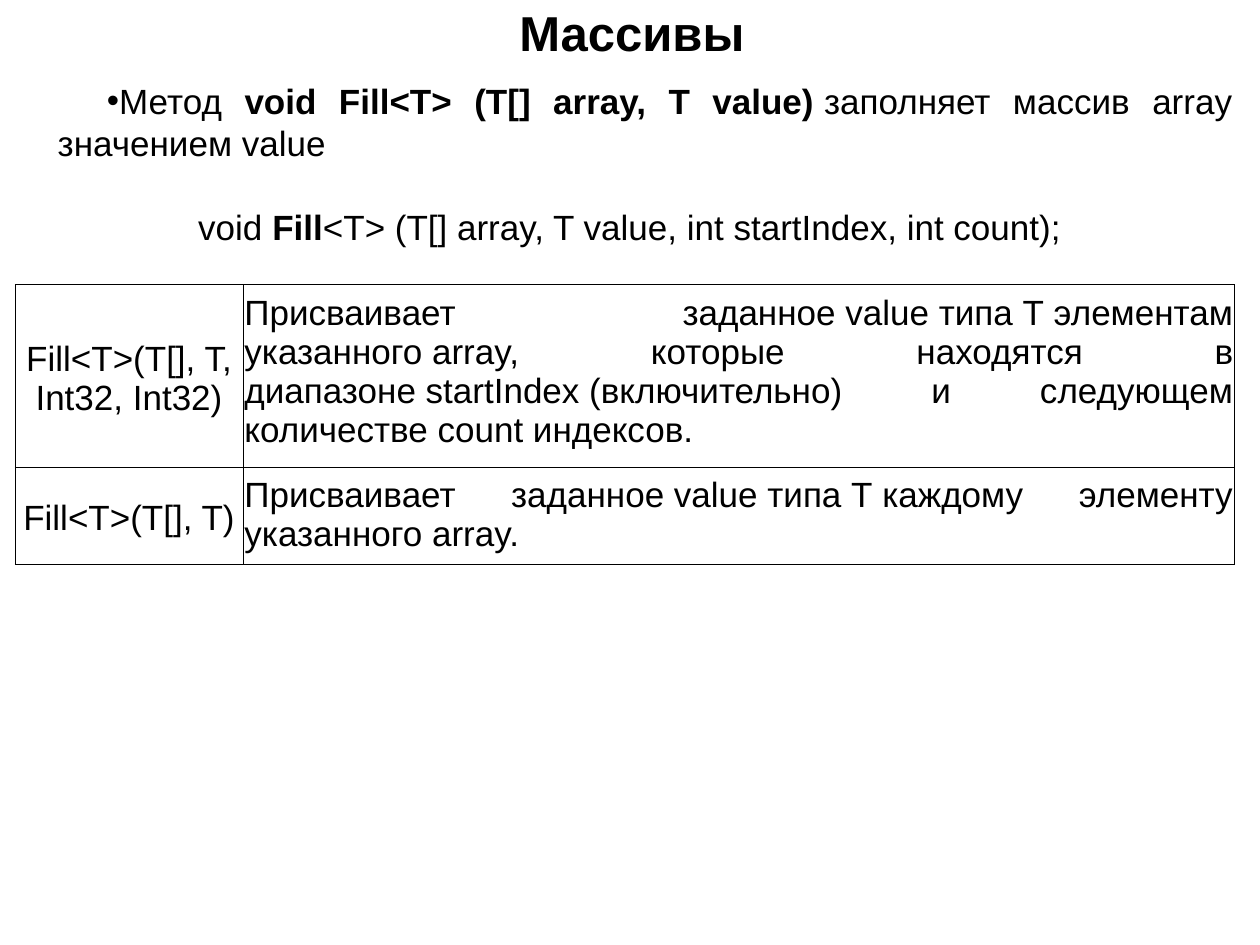
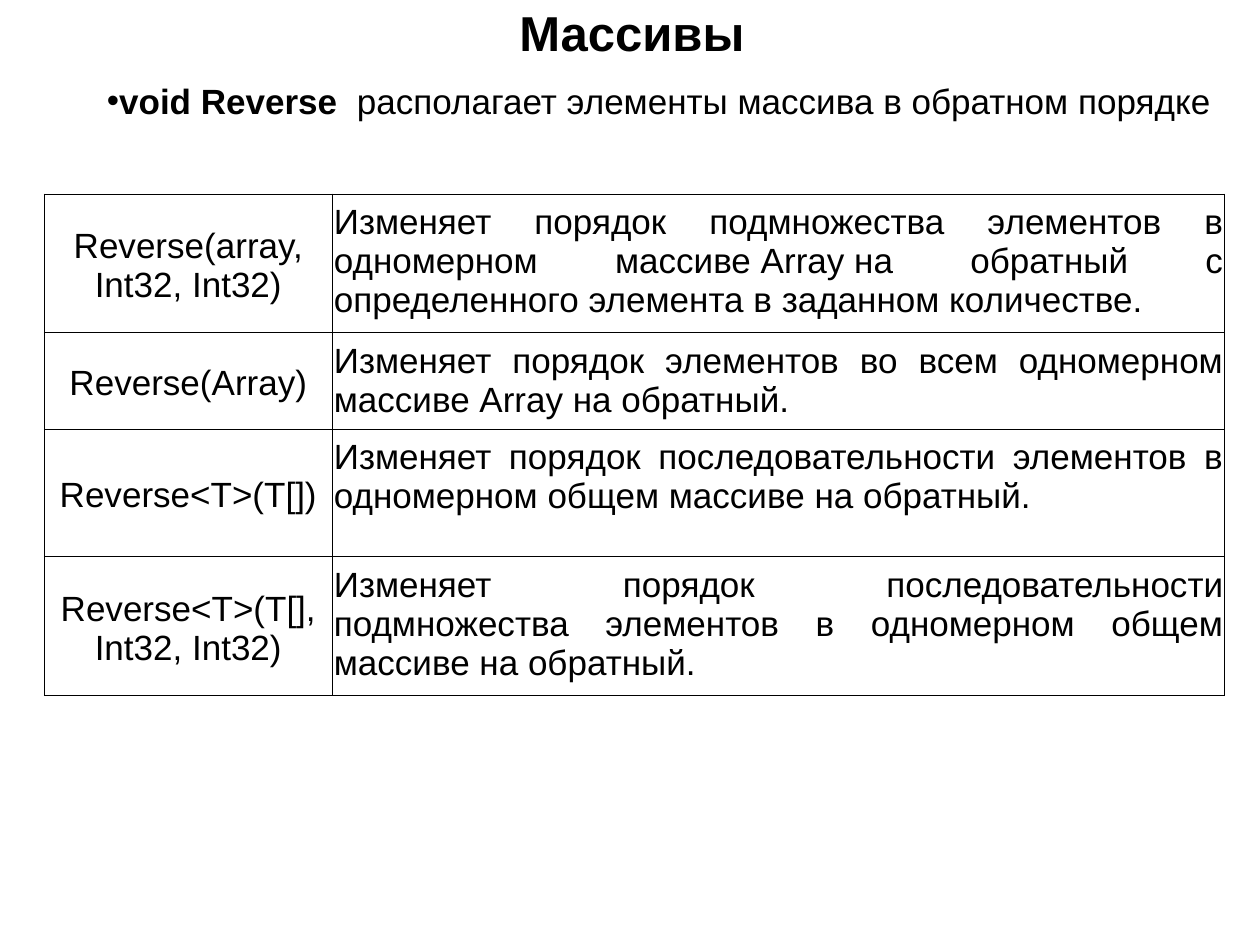
from dataclasses import dataclass

import lxml.etree
import pptx
import pptx.dml.color
import pptx.enum.text
import pptx.oxml.ns
import pptx.util

Inches = pptx.util.Inches
Pt = pptx.util.Pt
ALIGN = pptx.enum.text.PP_ALIGN
ANCHOR = pptx.enum.text.MSO_ANCHOR

# Shared style
FONT = "Arial"
INK = "000000"
PAPER = "FFFFFF"
TITLE_SIZE = 28
BODY_SIZE = 20
BORDER_WIDTH = 0.45
NO_BREAK_SPACE = chr(160)


@dataclass
class Span:
    text: str
    bold: bool = False


@dataclass
class Paragraph:
    spans: list[Span]
    align: ALIGN = ALIGN.JUSTIFY
    bullet: bool = False
    space_before: float = 0


@dataclass
class MethodTable:
    left: float
    top: float
    columns: list[float]
    row_heights: list[float]
    rows: list[tuple[str, str]]


@dataclass
class ArraySlide:
    paragraphs: list[Paragraph]
    table: MethodTable


def color(value: str) -> pptx.dml.color.RGBColor:
    return pptx.dml.color.RGBColor.from_string(value)


def tied(text: str) -> str:
    """Turn each tilde into a no-break space."""
    return text.replace("~", NO_BREAK_SPACE)


def format_runs(p, size: float, bold: bool = False) -> None:
    for r in p.runs:
        r.font.name = FONT
        r.font.size = Pt(size)
        r.font.bold = bold
        r.font.color.rgb = color(INK)


def add_text_frame(slide, left: float, top: float, width: float, height: float):
    sp = slide.shapes.add_textbox(Inches(left), Inches(top), Inches(width), Inches(height))
    sp.text_frame.word_wrap = True
    return sp.text_frame


def add_title(slide, text: str) -> None:
    tf = add_text_frame(slide, 0.02, 0.01, 9.99, 0.57)
    tf.text = text
    p = tf.paragraphs[0]
    p.alignment = ALIGN.CENTER
    p.line_spacing = 0.93
    format_runs(p, TITLE_SIZE, bold=True)


def add_bullet(p) -> None:
    ppr = p._p.get_or_add_pPr()
    ppr.set("marL", str(Inches(0.24)))
    ppr.set("indent", str(Inches(0.39)))
    qn = pptx.oxml.ns.qn
    bu_color = lxml.etree.SubElement(ppr, qn("a:buClr"))
    lxml.etree.SubElement(bu_color, qn("a:srgbClr"), val=INK)
    lxml.etree.SubElement(ppr, qn("a:buFont"), typeface=FONT)
    lxml.etree.SubElement(ppr, qn("a:buChar"), char="•")


def add_body(slide, paragraphs: list[Paragraph]) -> None:
    tf = add_text_frame(slide, 0.12, 0.58, 9.76, 6.61)
    for i, paragraph in enumerate(paragraphs):
        p = tf.add_paragraph() if i else tf.paragraphs[0]
        p.alignment = paragraph.align
        if paragraph.space_before:
            p.space_before = Pt(paragraph.space_before)
        if paragraph.bullet:
            add_bullet(p)
        for span in paragraph.spans:
            r = p.add_run()
            r.text = tied(span.text)
        format_runs(p, BODY_SIZE)
        for r, span in zip(p.runs, paragraph.spans):
            r.font.bold = span.bold


def add_borders(cell) -> None:
    qn = pptx.oxml.ns.qn
    tcpr = cell._tc.get_or_add_tcPr()
    for i, side in enumerate(("a:lnL", "a:lnR", "a:lnT", "a:lnB")):
        ln = lxml.etree.Element(qn(side), w=str(Pt(BORDER_WIDTH)))
        fill = lxml.etree.SubElement(ln, qn("a:solidFill"))
        lxml.etree.SubElement(fill, qn("a:srgbClr"), val=INK)
        tcpr.insert(i, ln)


def fill_cell(cell, text: str, is_name: bool) -> None:
    cell.margin_left = cell.margin_right = Inches(0.01)
    cell.margin_top, cell.margin_bottom = Inches(0.07), Inches(0.03)
    cell.vertical_anchor = ANCHOR.MIDDLE if is_name else ANCHOR.TOP
    cell.fill.solid()
    cell.fill.fore_color.rgb = color(PAPER)
    add_borders(cell)
    cell.text_frame.text = tied(text)
    p = cell.text_frame.paragraphs[0]
    p.alignment = ALIGN.CENTER if is_name else ALIGN.JUSTIFY
    format_runs(p, BODY_SIZE)


def add_method_table(slide, spec: MethodTable) -> None:
    table = slide.shapes.add_table(
        len(spec.rows), len(spec.columns), Inches(spec.left), Inches(spec.top),
        Inches(sum(spec.columns)), Inches(sum(spec.row_heights))).table
    table.first_row = table.horz_banding = False
    for column, width in zip(table.columns, spec.columns):
        column.width = Inches(width)
    for row, height, texts in zip(table.rows, spec.row_heights, spec.rows):
        row.height = Inches(height)
        for i, (cell, text) in enumerate(zip(row.cells, texts)):
            fill_cell(cell, text, is_name=i == 0)


SLIDES = [
    # Filling an array
    ArraySlide(
        [
            Paragraph([Span("Метод "),
                       Span("void Fill<T> (T[] array, T value)~", bold=True),
                       Span("заполняет массив array значением value")], bullet=True),
            Paragraph([Span("void "), Span("Fill", bold=True),
                       Span("<T> (T[] array, T value, int startIndex, int count);")],
                      align=ALIGN.CENTER, space_before=24),
        ],
        MethodTable(
            0.12, 2.26, [1.81, 7.87], [1.45, 0.76],
            [
                ("Fill<T>(T[], T, Int32, Int32)",
                 "Присваивает заданное~value~типа~T~элементам указанного~array, "
                 "которые находятся в диапазоне~startIndex~(включительно) и "
                 "следующем количестве~count~индексов."),
                ("Fill<T>(T[], T)",
                 "Присваивает заданное~value~типа~T~каждому элементу "
                 "указанного~array."),
            ]),
    ),
    # Reversing an array
    ArraySlide(
        [
            Paragraph([Span("void Reverse ~", bold=True),
                       Span("располагает элементы массива в обратном порядке")],
                      bullet=True),
        ],
        MethodTable(
            0.35, 1.54, [2.29, 7.08], [1.09, 0.76, 1.01, 1.09],
            [
                ("Reverse(аrray, Int32, Int32)",
                 "Изменяет порядок подмножества элементов в одномерном "
                 "массиве~Array~на обратный с определенного элемента "
                 "в заданном количестве."),
                ("Reverse(Array)",
                 "Изменяет порядок элементов во всем одномерном "
                 "массиве~Array~на обратный."),
                ("Reverse<T>(T[])",
                 "Изменяет порядок последовательности элементов "
                 "в одномерном общем массиве на обратный."),
                ("Reverse<T>(T[], Int32, Int32)",
                 "Изменяет порядок последовательности подмножества элементов "
                 "в одномерном общем массиве на обратный."),
            ]),
    ),
]


def main() -> None:
    prs = pptx.Presentation()
    prs.slide_width, prs.slide_height = Inches(10), Inches(7.5)
    for content in SLIDES:
        slide = prs.slides.add_slide(prs.slide_layouts[6])
        add_title(slide, "Массивы")
        add_body(slide, content.paragraphs)
        add_method_table(slide, content.table)
    prs.save("out.pptx")


if __name__ == "__main__":
    main()
